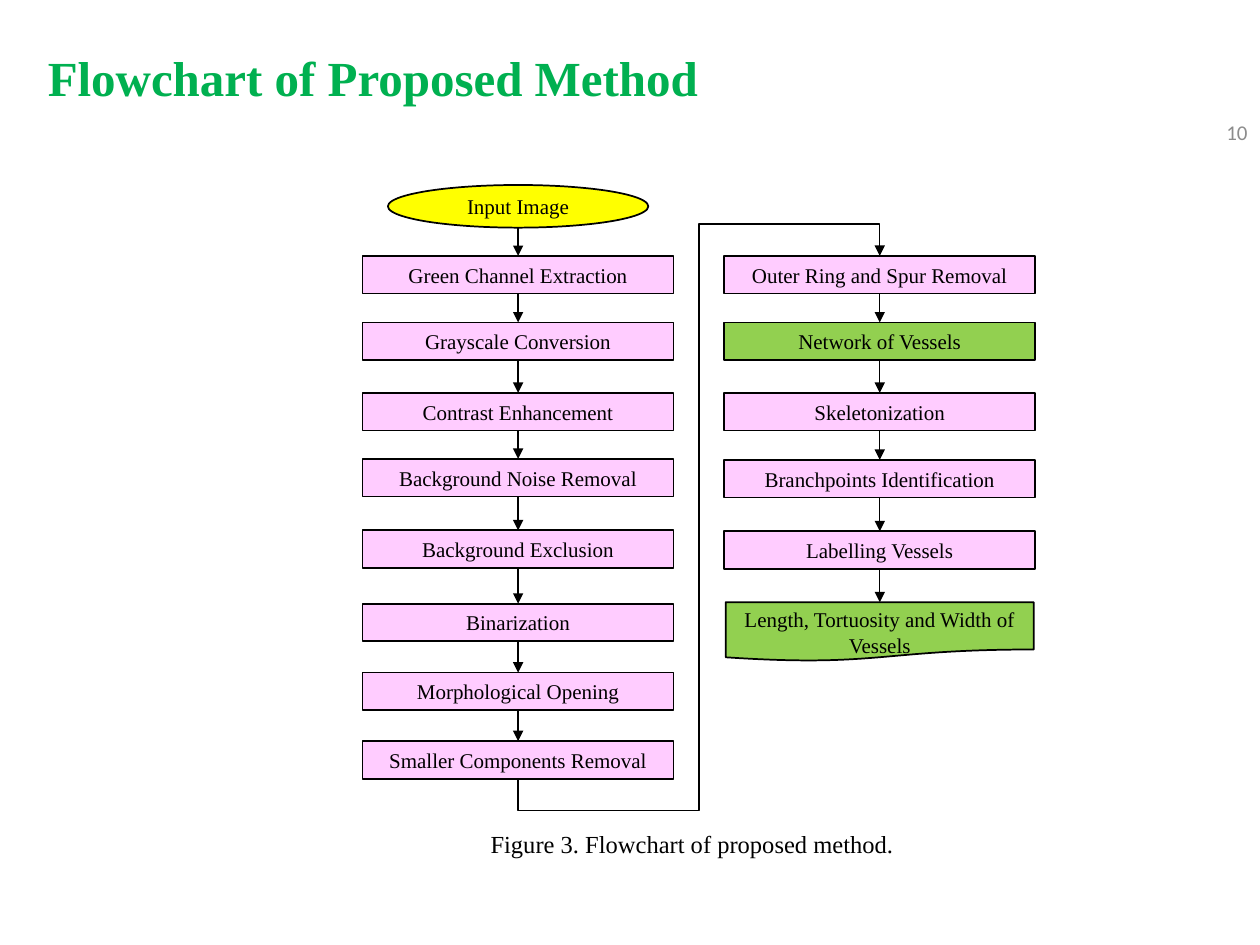
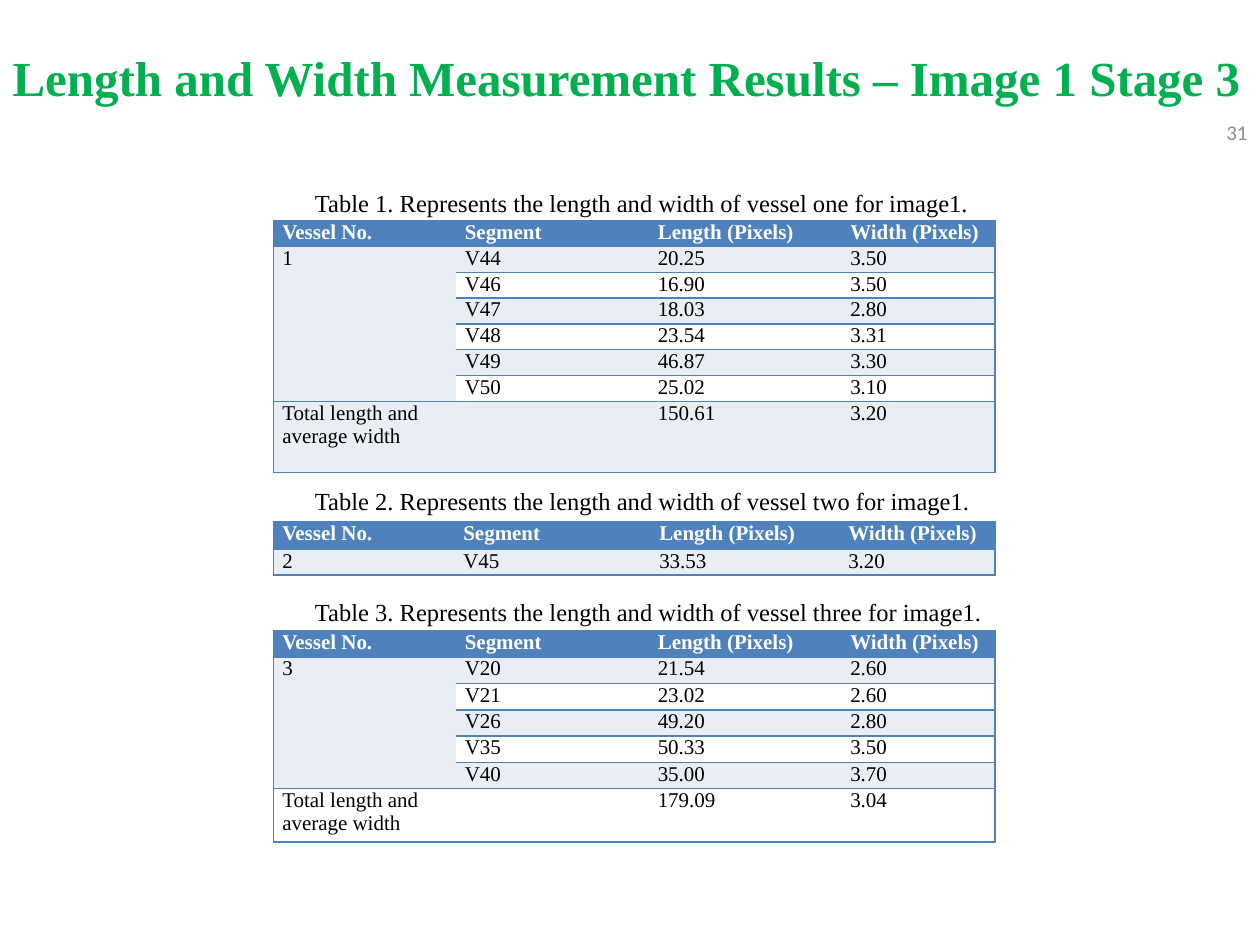
from dataclasses import dataclass
from itertools import pairwise
from lxml.etree import SubElement
from pptx import Presentation
from pptx.dml.color import RGBColor
from pptx.enum.shapes import MSO_CONNECTOR, MSO_SHAPE
from pptx.enum.text import MSO_ANCHOR, PP_ALIGN
from pptx.oxml.ns import qn
from pptx.util import Cm, Pt


@dataclass(frozen=True)
class Theme:
    serif: str = "Times New Roman"
    sans: str = "Calibri"
    green: str = "00B050"
    grey: str = "8C8C8C"
    black: str = "000000"
    white: str = "FFFFFF"
    pink: str = "FFCCFF"
    lime: str = "92D050"
    yellow: str = "FFFF00"
    blue: str = "4F81BD"
    pale: str = "E9EDF4"
    head: int = 28
    note: int = 14
    body: int = 12


@dataclass(frozen=True)
class Box:
    x: float
    y: float
    w: float
    h: float

    def spot(self):
        return Cm(self.x), Cm(self.y), Cm(self.w), Cm(self.h)


T = Theme()
STEP_W, STEP_H = 6.27, 0.76
RIGHT_X = 7.29
BEND = 0.64
HEADS = ["Vessel No.", "Segment", "Length (Pixels)", "Width (Pixels)"]
TOTAL = "Total length and average width"
LEFT_STEPS = [
    ("Green Channel Extraction", 1.43),
    ("Grayscale Conversion", 2.77),
    ("Contrast Enhancement", 4.19),
    ("Background Noise Removal", 5.52),
    ("Background Exclusion", 6.96),
    ("Binarization", 8.44),
    ("Morphological Opening", 9.83),
    ("Smaller Components Removal", 11.21),
]
RIGHT_STEPS = [
    ("Outer Ring and Spur Removal", 1.43, T.pink),
    ("Network of Vessels", 2.77, T.lime),
    ("Skeletonization", 4.19, T.pink),
    ("Branchpoints Identification", 5.54, T.pink),
    ("Labelling Vessels", 6.98, T.pink),
]


def rgb(code):
    return RGBColor.from_string(code)


def write(frame, text, size, color=T.black, font=T.serif, bold=False, align=PP_ALIGN.LEFT):
    para = frame.paragraphs[0]
    para.alignment = align
    run = para.add_run()
    run.text = text
    run.font.name = font
    run.font.size = Pt(size)
    run.font.bold = bold
    run.font.color.rgb = rgb(color)


def label(slide, box, text, size=T.note, **style):
    frame = slide.shapes.add_textbox(*box.spot()).text_frame
    frame.word_wrap = True
    write(frame, text, size, **style)
    return frame


def start(deck, text, box, number):
    slide = deck.slides.add_slide(deck.slide_layouts[5])
    title = slide.shapes.title
    title.left, title.top, title.width, title.height = box.spot()
    title.text_frame.vertical_anchor = MSO_ANCHOR.TOP
    write(title.text_frame, text, T.head, T.green, bold=True, align=PP_ALIGN.JUSTIFY)
    frame = label(slide, Box(19.48, 2.16, 5.92, 1.02), number, T.body,
                  color=T.grey, font=T.sans, align=PP_ALIGN.RIGHT)
    frame.vertical_anchor = MSO_ANCHOR.MIDDLE
    return slide


def node(slide, kind, box, text, fill):
    shape = slide.shapes.add_shape(kind, *box.spot())
    shape.shadow.inherit = False
    shape.fill.solid()
    shape.fill.fore_color.rgb = rgb(fill)
    shape.line.color.rgb = rgb(T.black)
    shape.line.width = Pt(1)
    frame = shape.text_frame
    frame.word_wrap = True
    frame.vertical_anchor = MSO_ANCHOR.MIDDLE
    write(frame, text, T.body, align=PP_ALIGN.CENTER)
    return shape


def arrow(slide, above, below, kind=MSO_CONNECTOR.STRAIGHT, join=True):
    line = slide.shapes.add_connector(
        kind, above.left + above.width // 2, above.top + above.height,
        below.left + below.width // 2, below.top)
    if join:
        line.begin_connect(above, 2)
    line.end_connect(below, 0)
    line.line.color.rgb = rgb(T.black)
    line.line.width = Pt(0.75)
    SubElement(line.line._get_or_add_ln(), qn("a:tailEnd"), type="triangle")
    SubElement(line._element.spPr, qn("a:effectLst"))
    return line


def bend(slide, last, first):
    line = arrow(slide, last, first, MSO_CONNECTOR.ELBOW)
    wide, high = line.width, line.height
    line.left += (wide - high) // 2
    line.top += (high - wide) // 2
    line.width, line.height = high, wide
    props = line._element.spPr
    frame = props.find(qn("a:xfrm"))
    for key, value in (("rot", "5400000"), ("flipH", "1"), ("flipV", "1")):
        frame.set(key, value)
    shape = props.find(qn("a:prstGeom"))
    shape.set("prst", "bentConnector5")
    guides = shape.find(qn("a:avLst"))
    part = round(Cm(BEND) / high * 100000)
    for index, value in enumerate((-part, 50000, 100000 + part), 1):
        SubElement(guides, qn("a:gd"), name=f"adj{index}", fmla=f"val {value}")


def flow(slide, box):
    rect = MSO_SHAPE.RECTANGLE
    source = node(slide, MSO_SHAPE.OVAL, Box(box.x + 0.51, box.y, 5.25, 0.86),
                  "Input Image", T.yellow)
    left = [node(slide, rect, Box(box.x, box.y + top, STEP_W, STEP_H), text, T.pink)
            for text, top in LEFT_STEPS]
    right = [node(slide, rect, Box(box.x + RIGHT_X, box.y + top, STEP_W, STEP_H), text, fill)
             for text, top, fill in RIGHT_STEPS]
    result = node(slide, MSO_SHAPE.FLOWCHART_DOCUMENT,
                  Box(box.x + RIGHT_X + 0.03, box.y + 8.41, 6.21, 1.19),
                  "Length, Tortuosity and Width of Vessels", T.lime)
    result.text_frame.margin_top, result.text_frame.margin_bottom = Cm(0.25), 0
    arrow(slide, source, left[0], join=False)
    for column in (left, right + [result]):
        for above, below in pairwise(column):
            arrow(slide, above, below)
    bend(slide, left[-1], right[0])
    label(slide, Box(box.x + 2.33, box.y + 12.86, 9.91, 0.86),
          "Figure 3. Flowchart of proposed method.")


def edge(cell, sides):
    props = cell._tc.get_or_add_tcPr()
    for side in "LRTB":
        line = SubElement(props, qn(f"a:ln{side}"), w=str(Pt(1)))
        if side in sides:
            fill = SubElement(line, qn("a:solidFill"))
            SubElement(fill, qn("a:srgbClr"), val=T.blue)
        else:
            SubElement(line, qn("a:noFill"))


def grid(slide, box, rows, widths, heights):
    table = slide.shapes.add_table(len(rows) + 1, len(HEADS), *box.spot()).table
    for column, width in zip(table.columns, widths):
        column.width = Cm(width)
    for row, height in zip(table.rows, heights):
        row.height = Cm(height)
    count = sum(1 for row in rows if row[1])
    if count > 1:
        table.cell(1, 0).merge(table.cell(count, 0))
    for r, values in enumerate([HEADS] + rows):
        for c, text in enumerate(values):
            cell = table.cell(r, c)
            cell.margin_left = cell.margin_right = Cm(0.18)
            cell.margin_top = cell.margin_bottom = 0
            side = {0: "L", len(HEADS) - 1: "R"}.get(c, "")
            edge(cell, side if cell.is_spanned else side + "TB")
            cell.fill.solid()
            back = T.blue if r == 0 else T.pale if r % 2 or cell.is_spanned else T.white
            cell.fill.fore_color.rgb = rgb(back)
            if text:
                write(cell.text_frame, text, T.body, T.black if r else T.white, bold=r == 0)
            else:
                cell.text_frame.paragraphs[0].font.size = Pt(T.body)


def group(vessel, parts, total=None):
    rows = [[vessel if not i else "", *part] for i, part in enumerate(parts)]
    return rows + [[TOTAL, "", *total]] if total else rows


def tables(slide, box):
    wide = (3.68, 3.89, 3.88, 3.1)
    first = group("1", [("V44", "20.25", "3.50"), ("V46", "16.90", "3.50"),
                        ("V47", "18.03", "2.80"), ("V48", "23.54", "3.31"),
                        ("V49", "46.87", "3.30"), ("V50", "25.02", "3.10")],
                  ("150.61", "3.20"))
    second = group("2", [("V45", "33.53", "3.20")])
    third = group("3", [("V20", "21.54", "2.60"), ("V21", "23.02", "2.60"),
                        ("V26", "49.20", "2.80"), ("V35", "50.33", "3.50"),
                        ("V40", "35.00", "3.70")],
                  ("179.09", "3.04"))
    plan = [
        ("one", 0, 0.79, first, wide, [0.52] * 7 + [1.43]),
        ("two", 6.02, 6.86, second, (3.65, 3.95, 3.81, 3.14), [0.56, 0.51]),
        ("three", 8.26, 9.06, third, wide, [0.53] * 6 + [1.07]),
    ]
    for index, (name, note, top, rows, widths, heights) in enumerate(plan, 1):
        label(slide, Box(box.x + 0.59, box.y + note, 14.2, 0.86),
              f"Table {index}. Represents the length and width of vessel {name} for image1.")
        grid(slide, Box(box.x, box.y + top, box.w, sum(heights)), rows, widths, heights)


def main():
    deck = Presentation()
    deck.slide_width, deck.slide_height = Cm(25.4), Cm(19.05)
    slide = start(deck, "Flowchart of Proposed Method", Box(0.71, 0.84, 22.1, 1.45), "10")
    flow(slide, Box(7.31, 3.73, 13.56, 13.72))
    slide = start(deck, "Length and Width Measurement Results – Image 1 Stage 3",
                  Box(0, 0.84, 25.4, 1.45), "31")
    tables(slide, Box(5.51, 3.66, 14.55, 13.34))
    deck.save("out.pptx")


if __name__ == "__main__":
    main()
